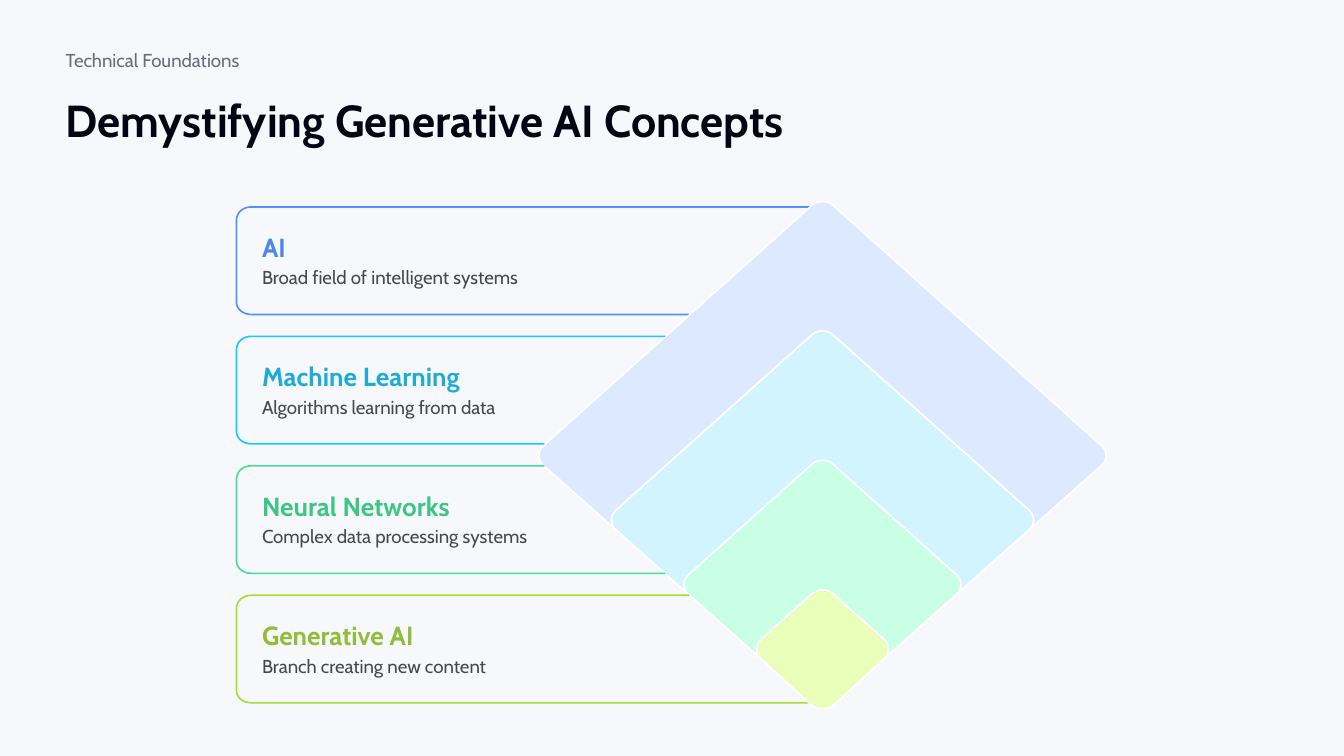
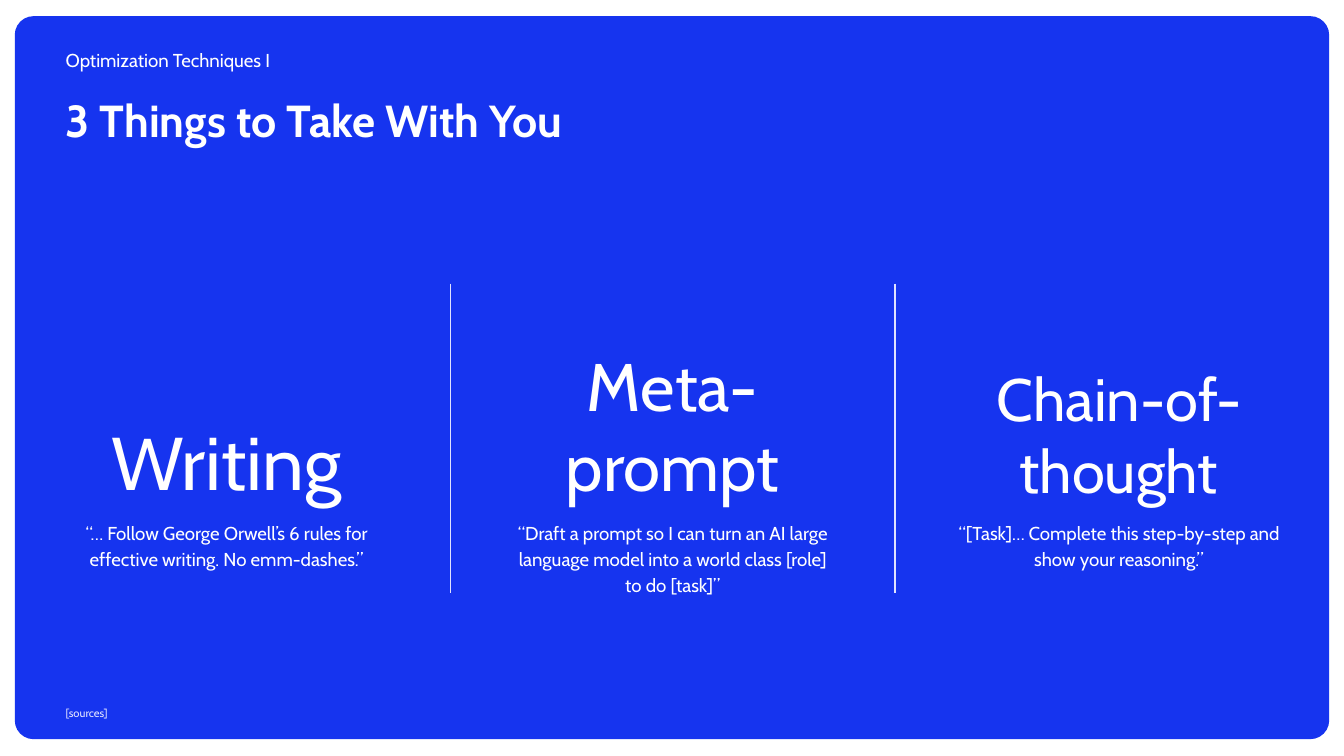
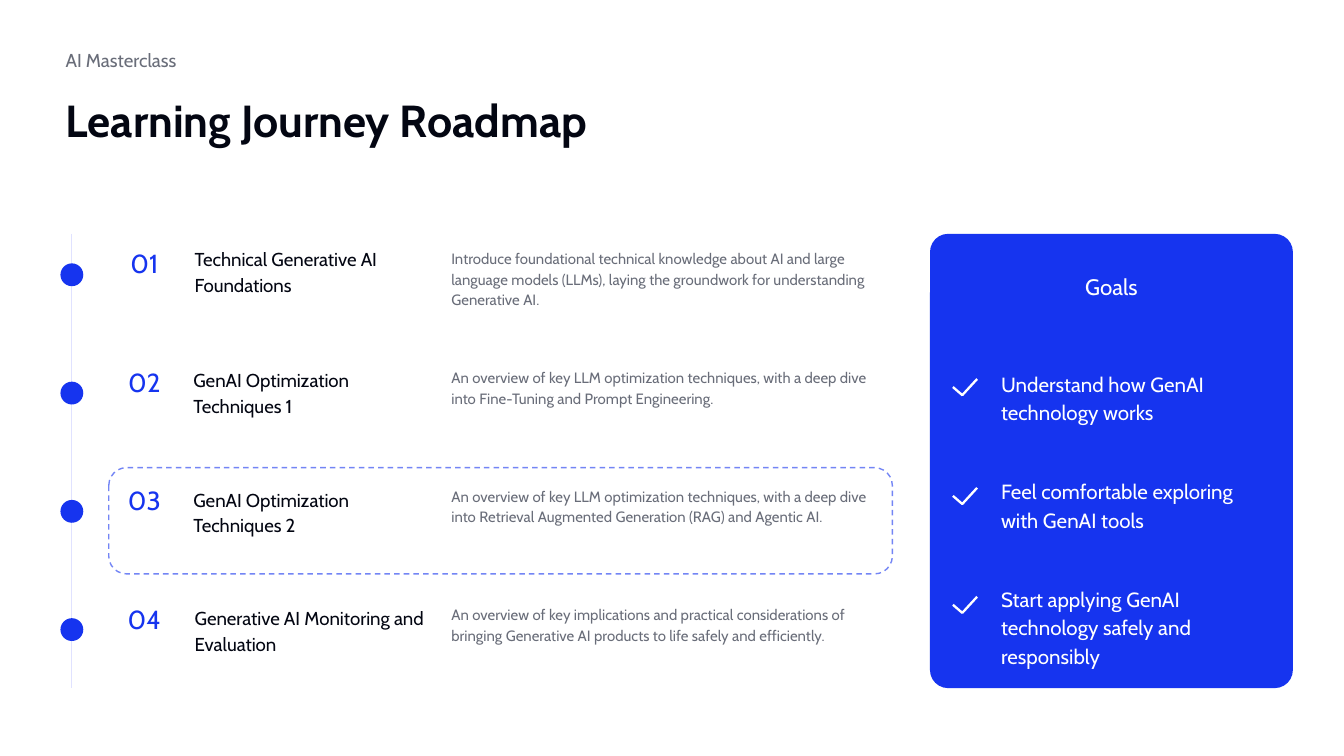
from math import comb

from lxml.etree import SubElement
from pptx import Presentation
from pptx.dml.color import RGBColor
from pptx.enum.dml import MSO_LINE
from pptx.enum.shapes import MSO_CONNECTOR, MSO_SHAPE
from pptx.enum.text import MSO_ANCHOR, PP_ALIGN
from pptx.oxml.ns import qn
from pptx.util import Inches, Pt

FONT = "Cabin"
C = {
    "pale": "F7F8FC", "white": "FFFFFF", "ink": "030612", "grey": "696D79",
    "text": "484848", "blue": "1634EF", "rule": "E0E2FF", "dash": "7385F5",
}


def add_text(s, box, words, size, color, bold=False, align=PP_ALIGN.LEFT,
             anchor=MSO_ANCHOR.TOP, inset=(0.1, 0.1), wrap=True, spacing=1.0):
    """Put one run in a text box; inset is (sides, top and bottom)."""
    tf = s.shapes.add_textbox(*map(Inches, box)).text_frame
    tf.word_wrap = wrap
    tf.vertical_anchor = anchor
    tf.margin_left = tf.margin_right = Inches(inset[0])
    tf.margin_top = tf.margin_bottom = Inches(inset[1])
    p = tf.paragraphs[0]
    p.alignment = align
    p.line_spacing = spacing
    r = p.add_run()
    r.text = words
    r.font.name = FONT
    r.font.size = Pt(size)
    r.font.bold = bold
    r.font.color.rgb = RGBColor.from_string(color)


def add_outline(s, parts, line, width, fill=None):
    """Draw parts in turn: one point is a corner, four points are a Bezier curve."""
    points = []
    for part in parts:
        n = len(part) - 1
        for t in [k / 8 for k in range(9)] if n else [0]:
            weights = [comb(n, k) * t**k * (1 - t)**(n - k) for k in range(n + 1)]
            points.append(tuple(
                Inches(sum(w * pt[axis] for w, pt in zip(weights, part)))
                for axis in (0, 1)))
    fb = s.shapes.build_freeform(*points[0])
    fb.add_line_segments(points[1:], close=fill is not None)
    sp = fb.convert_to_shape()
    sp.shadow.inherit = False
    if fill:
        sp.fill.solid()
        sp.fill.fore_color.rgb = RGBColor.from_string(fill)
    else:
        sp.fill.background()
    sp.line.color.rgb = RGBColor.from_string(line)
    sp.line.width = Pt(width)


prs = Presentation()
prs.slide_width = Inches(10)
prs.slide_height = Inches(10 * 9 / 16)
concepts, takeaways, roadmap = [
    prs.slides.add_slide(prs.slide_layouts[6]) for _ in range(3)]

# Blue panels, then rules, then the dots of the timeline
for s, box, radius in [(takeaways, (0.11, 0.12, 9.78, 5.38), 0.026),
                       (roadmap, (6.92, 1.74, 2.7, 3.38), 0.05)]:
    panel = s.shapes.add_shape(MSO_SHAPE.ROUNDED_RECTANGLE, *map(Inches, box))
    panel.adjustments[0] = radius
    panel.shadow.inherit = False
    panel.fill.solid()
    panel.fill.fore_color.rgb = RGBColor.from_string(C["blue"])
    panel.line.fill.background()

for s, x, top, bottom in [(takeaways, 3.35, 2.11, 4.41), (takeaways, 6.66, 2.11, 4.41),
                          (roadmap, 0.53, 1.74, 5.12)]:
    rule = s.shapes.add_connector(MSO_CONNECTOR.STRAIGHT, Inches(x), Inches(top),
                                  Inches(x), Inches(bottom))
    rule.line.color.rgb = RGBColor.from_string(C["rule"])
    rule.line.width = Pt(0.75)
    SubElement(rule._element.spPr, qn("a:effectLst"))

for i in range(4):
    dot = roadmap.shapes.add_shape(MSO_SHAPE.OVAL, Inches(0.45), Inches(1.96 + 0.88 * i),
                                   Inches(0.17), Inches(0.17))
    dot.shadow.inherit = False
    dot.fill.solid()
    dot.fill.fore_color.rgb = RGBColor.from_string(C["blue"])
    dot.line.fill.background()

# Background and heading of every slide
for s, ground, kicker, title, kicker_color, title_color in [
    (concepts, "pale", "Technical Foundations", "Demystifying Generative AI Concepts",
     "grey", "ink"),
    (takeaways, "white", "Optimization Techniques I", "3 Things to Take With You",
     "white", "white"),
    (roadmap, "white", "AI Masterclass", "Learning Journey Roadmap", "grey", "ink"),
]:
    s.background.fill.solid()
    s.background.fill.fore_color.rgb = RGBColor.from_string(C[ground])
    add_text(s, (0.39, 0.31, 2.36, 0.28), kicker, 10, C[kicker_color],
             anchor=MSO_ANCHOR.MIDDLE)
    add_text(s, (0.39, 0.59, 9.23, 0.9), title, 24, C[title_color], bold=True)

# Slide 1: nested diamonds, each with an open card on its left
levels = [
    # name, description, card line, name colour, diamond fill, card ends (top, bottom)
    ("AI", "Broad field of intelligent systems", "4F92FF", "4E88E7", "DCE9FF", 6.03, 5.13),
    ("Machine Learning", "Algorithms learning from data",
     "1AC6FF", "1EABDA", "D1F4FF", 4.95, 4.05),
    ("Neural Networks", "Complex data processing systems",
     "44E095", "3CC583", "C8FFE5", 4.05, 4.95),
    ("Generative AI", "Branch creating new content",
     "A8DD38", "92BD39", "E9FFB9", 5.13, 6.03),
]
mid = 6.12
pitch = 2.89 / 3
tips, lefts, rights = [], [], []
for i in range(len(levels)):
    tip, side, half = 1.49 + pitch * i, 3.39 + 0.48 * i, 2.12 - 0.54 * i
    tips.append([(mid - 0.08, tip + 0.04), (mid - 0.04, tip),
                 (mid + 0.04, tip), (mid + 0.08, tip + 0.04)])
    rights.append([(mid + half - 0.04, side - 0.07), (mid + half, side - 0.03),
                   (mid + half, side + 0.03), (mid + half - 0.04, side + 0.07)])
    lefts.append([(2 * mid - x, y) for x, y in reversed(rights[i])])
bottom_tip = [(mid + 0.08, 5.25), (mid + 0.04, 5.28), (mid - 0.04, 5.28), (mid - 0.08, 5.25)]

for i, (name, about, line, name_color, fill, top_end, bottom_end) in enumerate(levels):
    left, top = 1.76, 1.54 + pitch * i
    bottom = top + 0.8
    add_outline(concepts, [
        [(bottom_end, bottom)],
        [(left + 0.11, bottom), (left + 0.05, bottom), (left, bottom - 0.04),
         (left, bottom - 0.09)],
        [(left, top + 0.1), (left, top + 0.04), (left + 0.05, top), (left + 0.11, top)],
        [(top_end, top)],
    ], line, 0.89)
    if i + 1 < len(levels):
        inner = [part[::-1] for part in (rights[i + 1], tips[i + 1], lefts[i + 1])]
    else:
        inner = [bottom_tip]
    add_outline(concepts, [tips[i], rights[i], *inner, lefts[i]], C["white"], 0.89, fill)
    add_text(concepts, (1.95, top + 0.18, 1.7, 0.24), name, 14, name_color, bold=True,
             inset=(0, 0), wrap=False)
    add_text(concepts, (1.95, top + 0.44, 2.2, 0.17), about, 10, C["text"],
             inset=(0, 0), wrap=False)

# Slide 2: three takeaways
for i, (word, size, quote) in enumerate([
    ("Writing", 40,
     "“… Follow George Orwell’s 6 rules for effective writing. No emm-dashes.”"),
    ("Meta-prompt", 36,
     "“Draft a prompt so I can turn an AI large language model into a world class "
     "[role] to do [task]”"),
    ("Chain-of-thought", 32,
     "“[Task]… Complete this step-by-step and show your reasoning.”"),
]):
    x = 0.39 + 3.32 * i
    add_text(takeaways, (x, 2.12, 2.59, 1.64), word, size, C["white"],
             align=PP_ALIGN.CENTER, anchor=MSO_ANCHOR.BOTTOM, inset=(0.1, 0))
    add_text(takeaways, (x, 3.76, 2.59, 0.66), quote, 10, C["white"],
             align=PP_ALIGN.CENTER, spacing=1.15)
add_text(takeaways, (0.39, 5.16, 9.23, 0.28), "[sources]", 6, C["rule"],
         anchor=MSO_ANCHOR.MIDDLE, spacing=1.15)

# Slide 3: four steps and the goals
step_pitch = 2.65 / 3
for i, (x, y, step, about) in enumerate([
    (1.35, 1.72, "Technical Generative AI Foundations",
     "Introduce foundational technical knowledge about AI and large language models "
     "(LLMs), laying the groundwork for understanding Generative AI."),
    (1.34, 2.62, "GenAI Optimization Techniques 1",
     "An overview of key LLM optimization techniques, with a deep dive into "
     "Fine-Tuning and Prompt Engineering."),
    (1.34, 3.51, "GenAI Optimization Techniques 2",
     "An overview of key LLM optimization techniques, with a deep dive into "
     "Retrieval Augmented Generation (RAG) and Agentic AI."),
    (1.35, 4.39, "Generative AI Monitoring and Evaluation",
     "An overview of key implications and practical considerations of bringing "
     "Generative AI products to life safely and efficiently."),
]):
    row = 1.74 + step_pitch * i
    add_text(roadmap, (0.81, row, 0.53, 0.73), f"{i + 1:02}", 14, C["blue"],
             align=PP_ALIGN.CENTER)
    add_text(roadmap, (x, y, 1.92, 0.73), step, 10, C["ink"], spacing=1.15)
    add_text(roadmap, (3.26, row, 3.38, 0.73), about, 8, C["grey"], spacing=1.15)

add_text(roadmap, (6.92, 1.9, 2.7, 0.57), "Goals", 12, C["white"],
         align=PP_ALIGN.CENTER, spacing=1.15)
for i, goal in enumerate([
    "Understand how GenAI technology works",
    "Feel comfortable exploring with GenAI tools",
    "Start applying GenAI technology safely and responsibly",
]):
    y = 2.82 + 0.81 * i
    add_outline(roadmap, [[(7.09, y + 0.06)], [(7.16, y + 0.12)], [(7.27, y)]],
                C["white"], 1.25)
    add_text(roadmap, (7.35, 2.64 + 0.8 * i, 2.17, 0.73), goal, 11, C["white"],
             spacing=1.15)

current_step = roadmap.shapes.add_shape(MSO_SHAPE.ROUNDED_RECTANGLE, Inches(0.81),
                                        Inches(3.48), Inches(5.83), Inches(0.79))
current_step.shadow.inherit = False
current_step.fill.background()
current_step.line.color.rgb = RGBColor.from_string(C["dash"])
current_step.line.width = Pt(0.75)
current_step.line.dash_style = MSO_LINE.DASH

prs.save("out.pptx")
